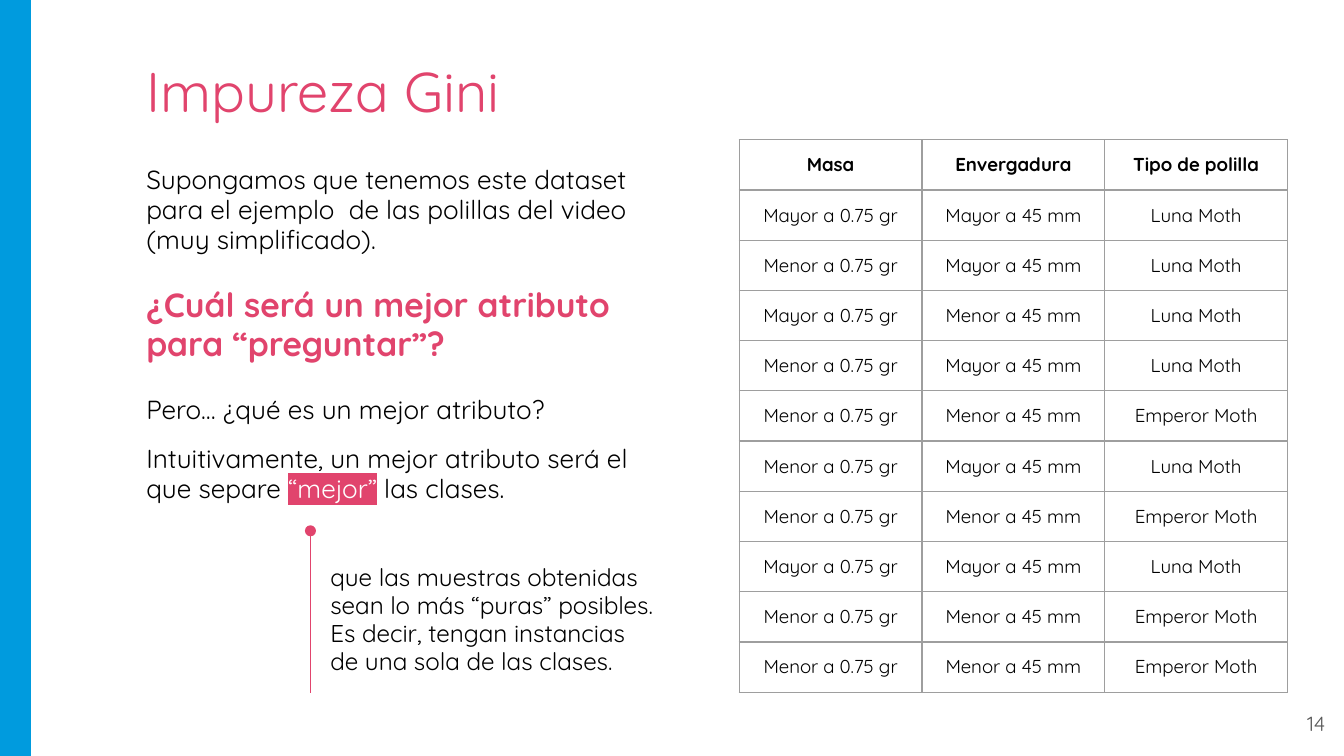
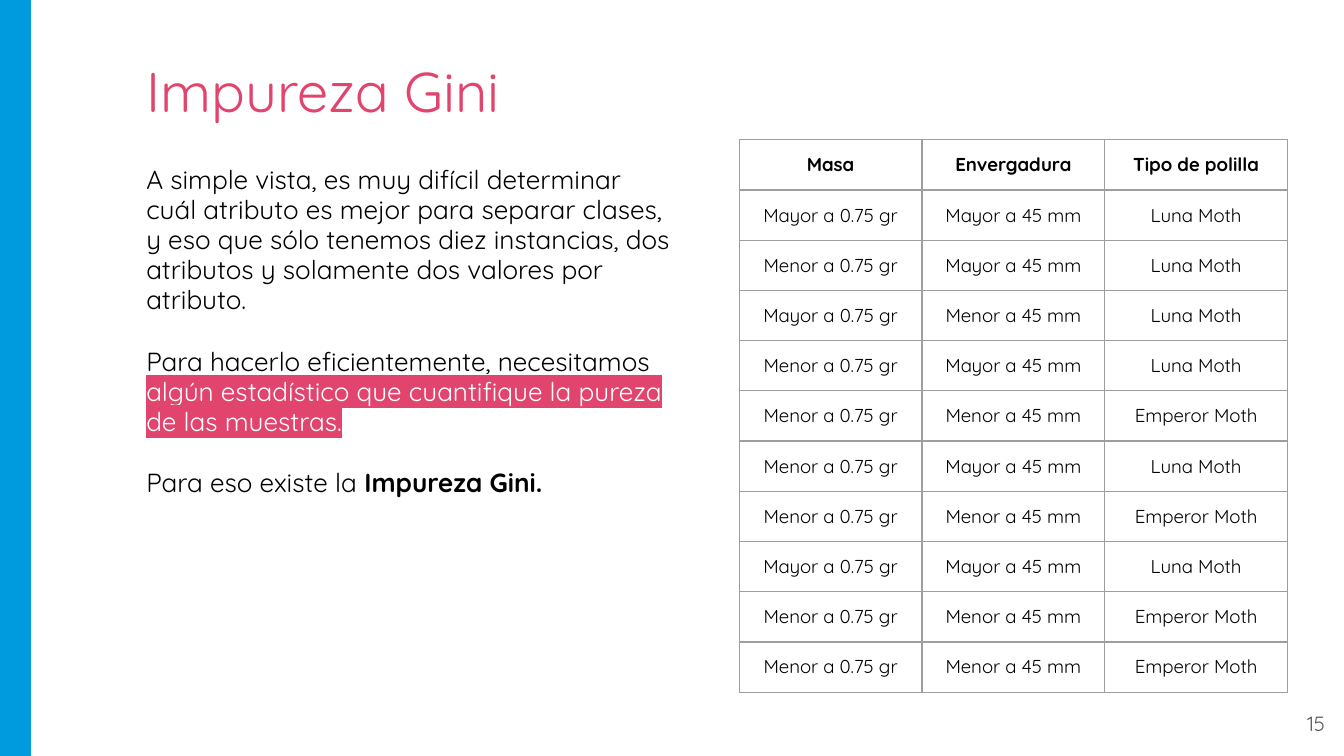
from dataclasses import dataclass

from lxml import etree
from pptx import Presentation
from pptx.dml.color import RGBColor
from pptx.enum.shapes import MSO_CONNECTOR, MSO_SHAPE
from pptx.enum.text import MSO_ANCHOR, MSO_AUTO_SIZE, PP_ALIGN
from pptx.oxml.ns import qn
from pptx.util import Inches, Pt

LEFT, CENTER, RIGHT = PP_ALIGN.LEFT, PP_ALIGN.CENTER, PP_ALIGN.RIGHT
TOP = MSO_ANCHOR.TOP
NO_AUTOFIT = MSO_AUTO_SIZE.NONE
RECTANGLE = MSO_SHAPE.RECTANGLE
STRAIGHT = MSO_CONNECTOR.STRAIGHT

SLIDE_W = Inches(10)
SLIDE_H = SLIDE_W * 9 // 16
TITLE_ONLY = 5


@dataclass(frozen=True)
class Theme:
    font: str = "Quicksand"
    blue: str = "009BDE"
    pink: str = "E1446D"
    black: str = "000000"
    white: str = "FFFFFF"
    gray: str = "595959"
    grid: str = "9E9E9E"
    title: int = 30
    question: int = 18
    body: int = 14
    aside: int = 13
    number: int = 11
    cell: int = 10
    stroke: float = 0.75
    inset: float = 0.1
    leading: float = 0.96
    gap: float = 16.8
    small_gap: float = 10


THEME = Theme()


@dataclass(frozen=True)
class Box:
    """Area in hundredths of the slide's width and height."""
    left: float
    top: float
    width: float
    height: float

    def emu(self):
        return (across(self.left), down(self.top),
                across(self.width), down(self.height))


@dataclass(frozen=True)
class Words:
    text: str
    size: float = THEME.body
    color: str = THEME.black
    bold: bool = False
    highlight: str = ""


def across(share):
    return round(SLIDE_W * share / 100)


def down(share):
    return round(SLIDE_H * share / 100)


BAND = Box(0, 0, 2.3, 100)
TITLE = Box(9.9, 5.69, 68.3, 11.38)
BODY = Box(9.9, 20.09, 41.3, 7.64)
MOTHS = Box(55, 18.49, 40.8, 64.57)
ASIDE = Box(23.6, 72.89, 26.4, 12.27)
POINTER = Box(23.1, 70.22, 0, 21.51)
NUMBER = Box(93.6, 92.27, 6, 7.64)

MASS = {">": "Mayor a 0.75 gr", "<": "Menor a 0.75 gr"}
SPAN = {">": "Mayor a 45 mm", "<": "Menor a 45 mm"}
KIND = {"L": "Luna Moth", "E": "Emperor Moth"}
SAMPLES = ">>L <>L ><L <>L <<E <>L <<E >>L <<E <<E".split()
MOTH_ROWS = [("Masa", "Envergadura", "Tipo de polilla")] + [
    (MASS[mass], SPAN[span], KIND[kind]) for mass, span, kind in SAMPLES]

# Each paragraph is its space before, then its runs.
QUESTION = [
    (0, [Words("Supongamos que tenemos este dataset para el ejemplo  de las "
               "polillas del video (muy simplificado).")]),
    (THEME.gap, [Words("¿Cuál será un mejor atributo para “preguntar”?",
                       THEME.question, THEME.pink, True)]),
    (THEME.gap, [Words("Pero… ¿qué es un mejor atributo?")]),
    (THEME.small_gap, [
        Words("Intuitivamente, un mejor atributo será el que separe "),
        Words("“mejor”", color=THEME.white, highlight=THEME.pink),
        Words(" las clases.")]),
]
PURITY = [(0, [Words("que las muestras obtenidas sean lo más “puras” posibles. "
                     "Es decir, tengan instancias de una sola de las clases.",
                     THEME.aside)])]
STATISTIC = [
    (0, [Words("A simple vista, es muy difícil determinar cuál atributo es "
               "mejor para separar clases, y eso que sólo tenemos diez "
               "instancias, dos atributos y solamente dos valores por "
               "atributo.")]),
    (THEME.gap, [
        Words("Para hacerlo eficientemente, necesitamos "),
        Words("algún estadístico que cuantifique la pureza de las muestras.",
              color=THEME.white, highlight=THEME.pink)]),
    (THEME.gap, [Words("Para eso existe la"),
                 Words(" Impureza Gini.", bold=True)]),
]


def add_words(paragraph, words):
    run = paragraph.add_run()
    run.text = words.text
    font = run.font
    font.size = Pt(words.size)
    font.bold = words.bold
    font.color.rgb = RGBColor.from_string(words.color)
    font.name = THEME.font
    if words.highlight:
        mark = etree.Element(qn("a:highlight"))
        etree.SubElement(mark, qn("a:srgbClr"), val=words.highlight)
        run.font._element.find(qn("a:solidFill")).addnext(mark)


def set_insets(holder):
    holder.margin_left = holder.margin_right = Inches(THEME.inset)
    holder.margin_top = holder.margin_bottom = Inches(THEME.inset)


def fill_frame(frame, paragraphs, align=LEFT, leading=1.0):
    frame.word_wrap = True
    frame.auto_size = NO_AUTOFIT
    frame.vertical_anchor = TOP
    set_insets(frame)
    for index, (space_before, runs) in enumerate(paragraphs):
        paragraph = frame.add_paragraph() if index else frame.paragraphs[0]
        paragraph.alignment = align
        paragraph.line_spacing = leading
        paragraph.space_before = Pt(space_before)
        for words in runs:
            add_words(paragraph, words)


def add_text(slide, box, paragraphs, align=LEFT, leading=THEME.leading):
    frame = slide.shapes.add_textbox(*box.emu()).text_frame
    fill_frame(frame, paragraphs, align, leading)


def add_band(slide, box):
    band = slide.shapes.add_shape(RECTANGLE, *box.emu())
    band.shadow.inherit = False
    band.fill.solid()
    band.fill.fore_color.rgb = RGBColor.from_string(THEME.blue)
    band.line.fill.background()


def place_title(slide, box, text):
    title = slide.shapes.title
    title.left, title.top, title.width, title.height = box.emu()
    fill_frame(title.text_frame,
               [(0, [Words(text, THEME.title, THEME.pink)])])


def add_borders(cell):
    properties = cell._tc.get_or_add_tcPr()
    for index, side in enumerate(("lnL", "lnR", "lnT", "lnB")):
        border = etree.Element(qn(f"a:{side}"), w=str(Pt(THEME.stroke)))
        fill = etree.SubElement(border, qn("a:solidFill"))
        etree.SubElement(fill, qn("a:srgbClr"), val=THEME.grid)
        properties.insert(index, border)


def add_moth_table(slide, box):
    table = slide.shapes.add_table(len(MOTH_ROWS), len(MOTH_ROWS[0]),
                                   *box.emu()).table
    table.first_row = table.horz_banding = False
    for column in table.columns:
        column.width = across(box.width / len(MOTH_ROWS[0]))
    for row in table.rows:
        row.height = down(box.height / len(MOTH_ROWS))
    for row_index, values in enumerate(MOTH_ROWS):
        for column_index, value in enumerate(values):
            cell = table.cell(row_index, column_index)
            set_insets(cell)
            cell.fill.background()
            add_borders(cell)
            paragraph = cell.text_frame.paragraphs[0]
            paragraph.alignment = CENTER
            add_words(paragraph,
                      Words(value, THEME.cell, bold=row_index == 0))


def add_pointer(slide, box):
    """Draw a vertical line with a dot at its top."""
    left, top, width, height = box.emu()
    pointer = slide.shapes.add_connector(STRAIGHT, left, top,
                                         left + width, top + height)
    pointer.line.color.rgb = RGBColor.from_string(THEME.pink)
    pointer.line.width = Pt(THEME.stroke)
    etree.SubElement(pointer.line._get_or_add_ln(), qn("a:headEnd"),
                     type="oval")
    etree.SubElement(pointer._element.spPr, qn("a:effectLst"))


def add_gini_slide(deck, number, body):
    slide = deck.slides.add_slide(deck.slide_layouts[TITLE_ONLY])
    add_band(slide, BAND)
    place_title(slide, TITLE, "Impureza Gini")
    add_text(slide, NUMBER,
             [(0, [Words(str(number), THEME.number, THEME.gray)])],
             RIGHT, leading=1.0)
    add_text(slide, BODY, body)
    add_moth_table(slide, MOTHS)
    return slide


def main():
    deck = Presentation()
    deck.slide_width, deck.slide_height = SLIDE_W, SLIDE_H
    question = add_gini_slide(deck, 14, QUESTION)
    add_text(question, ASIDE, PURITY)
    add_pointer(question, POINTER)
    add_gini_slide(deck, 15, STATISTIC)
    deck.save("out.pptx")


if __name__ == "__main__":
    main()
